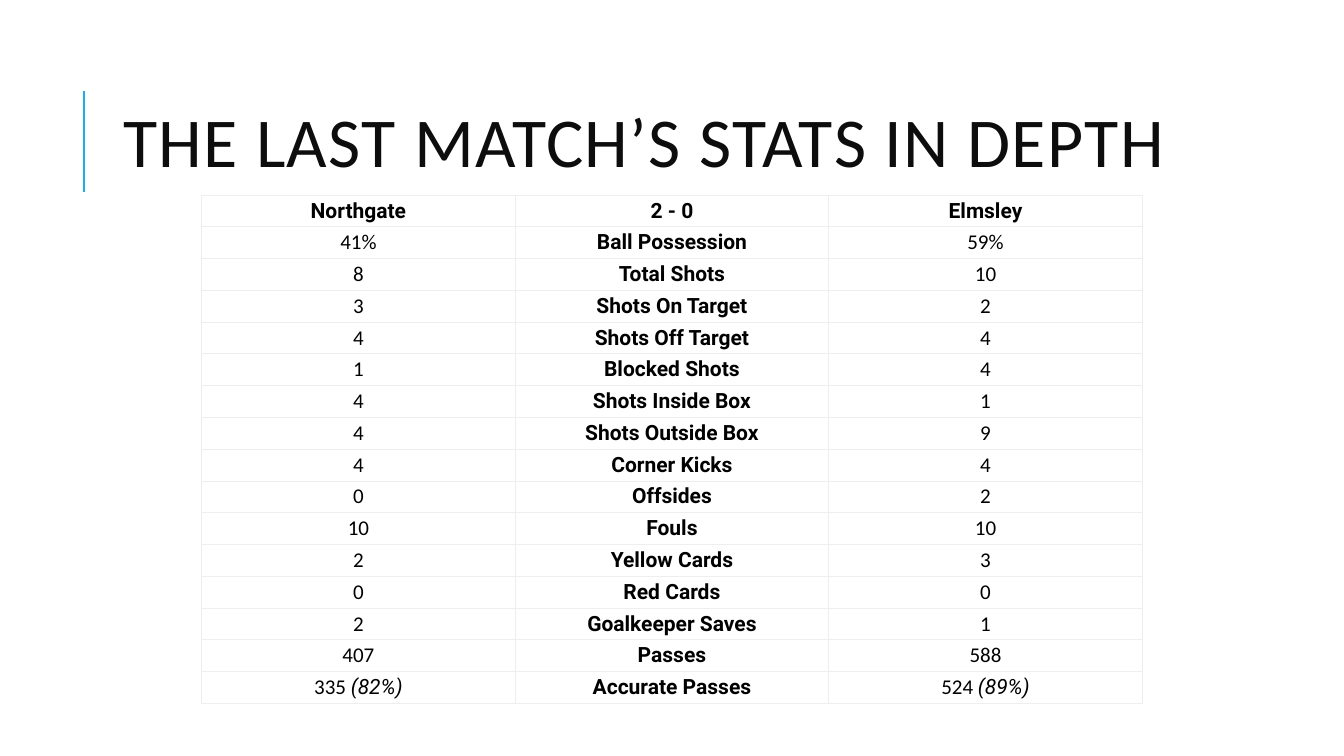
from lxml import etree
from pptx import Presentation
from pptx.dml.color import RGBColor
from pptx.enum.shapes import MSO_CONNECTOR
from pptx.enum.text import MSO_ANCHOR, MSO_AUTO_SIZE, PP_ALIGN
from pptx.oxml.ns import qn
from pptx.util import Inches, Pt

LINE = MSO_CONNECTOR.STRAIGHT
MIDDLE = MSO_ANCHOR.MIDDLE
LEFT, CENTER = PP_ALIGN.LEFT, PP_ALIGN.CENTER

# Content: home value, measure, away value
TITLE = "THE LAST MATCH\u2019S STATS IN DEPTH"
STATS = [
    ("Northgate", "2 - 0", "Elmsley"),
    ("41%", "Ball Possession", "59%"),
    ("8", "Total Shots", "10"),
    ("3", "Shots On Target", "2"),
    ("4", "Shots Off Target", "4"),
    ("1", "Blocked Shots", "4"),
    ("4", "Shots Inside Box", "1"),
    ("4", "Shots Outside Box", "9"),
    ("4", "Corner Kicks", "4"),
    ("0", "Offsides", "2"),
    ("10", "Fouls", "10"),
    ("2", "Yellow Cards", "3"),
    ("0", "Red Cards", "0"),
    ("2", "Goalkeeper Saves", "1"),
    ("407", "Passes", "588"),
    ("335\u00a0(82%)", "Accurate Passes", "524\u00a0(89%)"),
]


def color(code):
    return RGBColor.from_string(code)


def set_font(font, name, size, code, bold=False):
    font.name, font.size, font.bold = name, Pt(size), bold
    font.color.rgb = color(code)


def add_border(cell, code, width):
    props = cell._tc.get_or_add_tcPr()
    for side in ("a:lnL", "a:lnR", "a:lnT", "a:lnB"):
        edge = etree.SubElement(props, qn(side), w=str(Pt(width)))
        fill = etree.SubElement(edge, qn("a:solidFill"))
        etree.SubElement(fill, qn("a:srgbClr"), val=code)


def fill_cell(cell, text, head):
    add_border(cell, "EEEEEE", 0.6)
    cell.fill.background()
    cell.vertical_anchor = MIDDLE
    cell.margin_left = cell.margin_right = Inches(0.05)
    cell.margin_top = cell.margin_bottom = Inches(0.03)
    para = cell.text_frame.paragraphs[0]
    para.alignment = CENTER
    set_font(para.font, "Roboto" if head else "Calibri", 15, "000000", head)
    count, mark, share = text.partition("(")
    para.add_run().text = count
    if share:
        run = para.add_run()
        run.text = mark + share
        run.font.name, run.font.italic = "Roboto", True


prs = Presentation()
prs.slide_width, prs.slide_height = Inches(13.33), Inches(7.5)
slide = prs.slides.add_slide(prs.slide_layouts[5])

# Accent line
accent = slide.shapes.add_connector(
    LINE, Inches(0.83), Inches(1.9), Inches(0.83), Inches(0.9))
accent.line.color.rgb = color("1CADE4")
accent.line.width = Pt(1.5)
etree.SubElement(accent._element.spPr, qn("a:effectLst"))

# Title
title = slide.shapes.title
title.left, title.top = Inches(1.12), Inches(0.64)
title.width, title.height = Inches(10.63), Inches(1.64)
frame = title.text_frame
frame.text = TITLE
frame.word_wrap = True
frame.auto_size = MSO_AUTO_SIZE.NONE
frame.vertical_anchor = MIDDLE
para = frame.paragraphs[0]
para.alignment, para.line_spacing = LEFT, 0.8
set_font(para.font, "Calibri", 50, "0D0D0D")
para.runs[0].font._element.set("spc", "100")

# Match table
table = slide.shapes.add_table(
    len(STATS), len(STATS[0]),
    Inches(2), Inches(1.94), Inches(9.33), Inches(4.93)).table
table.first_row = table.horz_banding = False
for r, row in enumerate(STATS):
    for c, text in enumerate(row):
        fill_cell(table.cell(r, c), text, head=r == 0 or c == 1)

prs.save("out.pptx")
